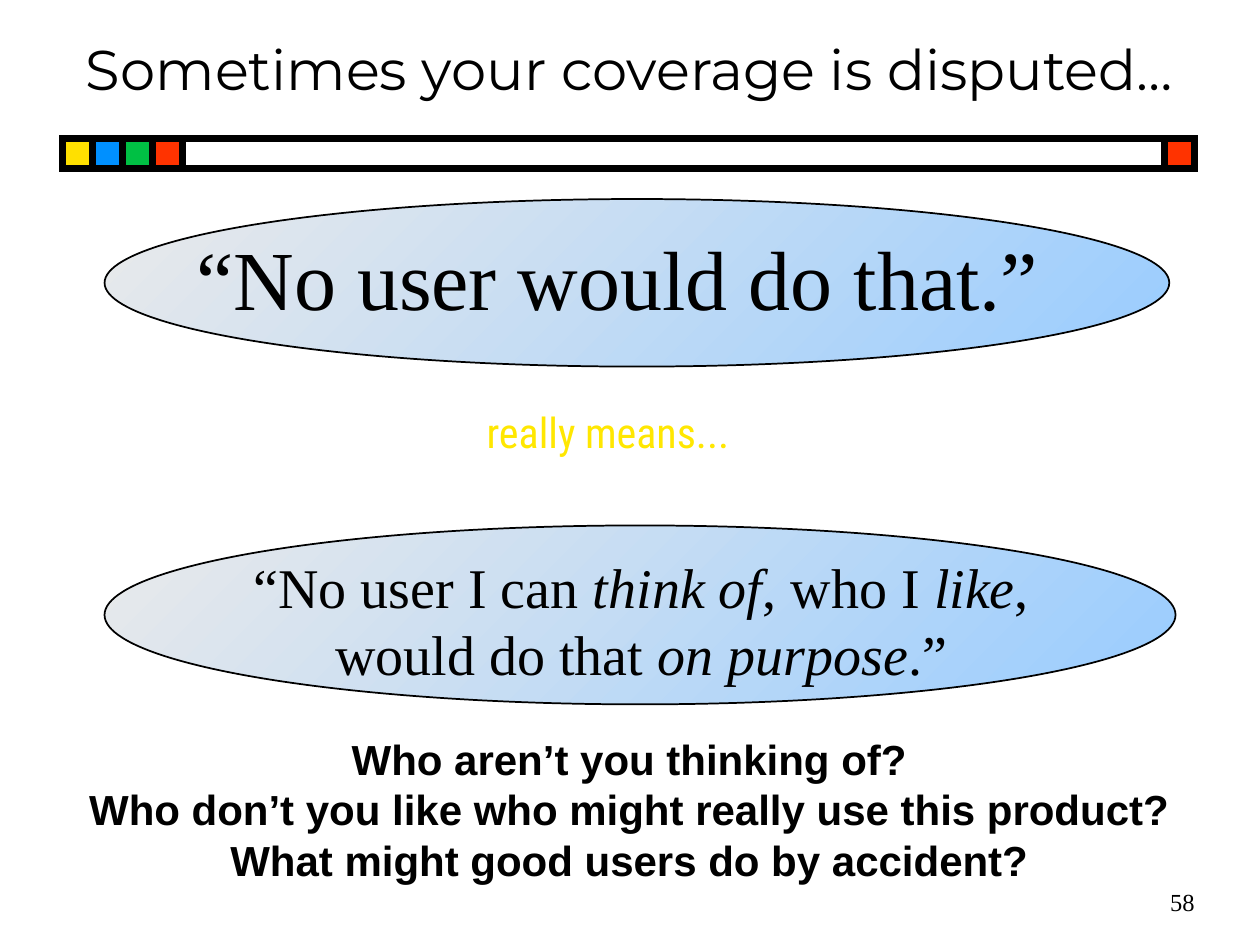
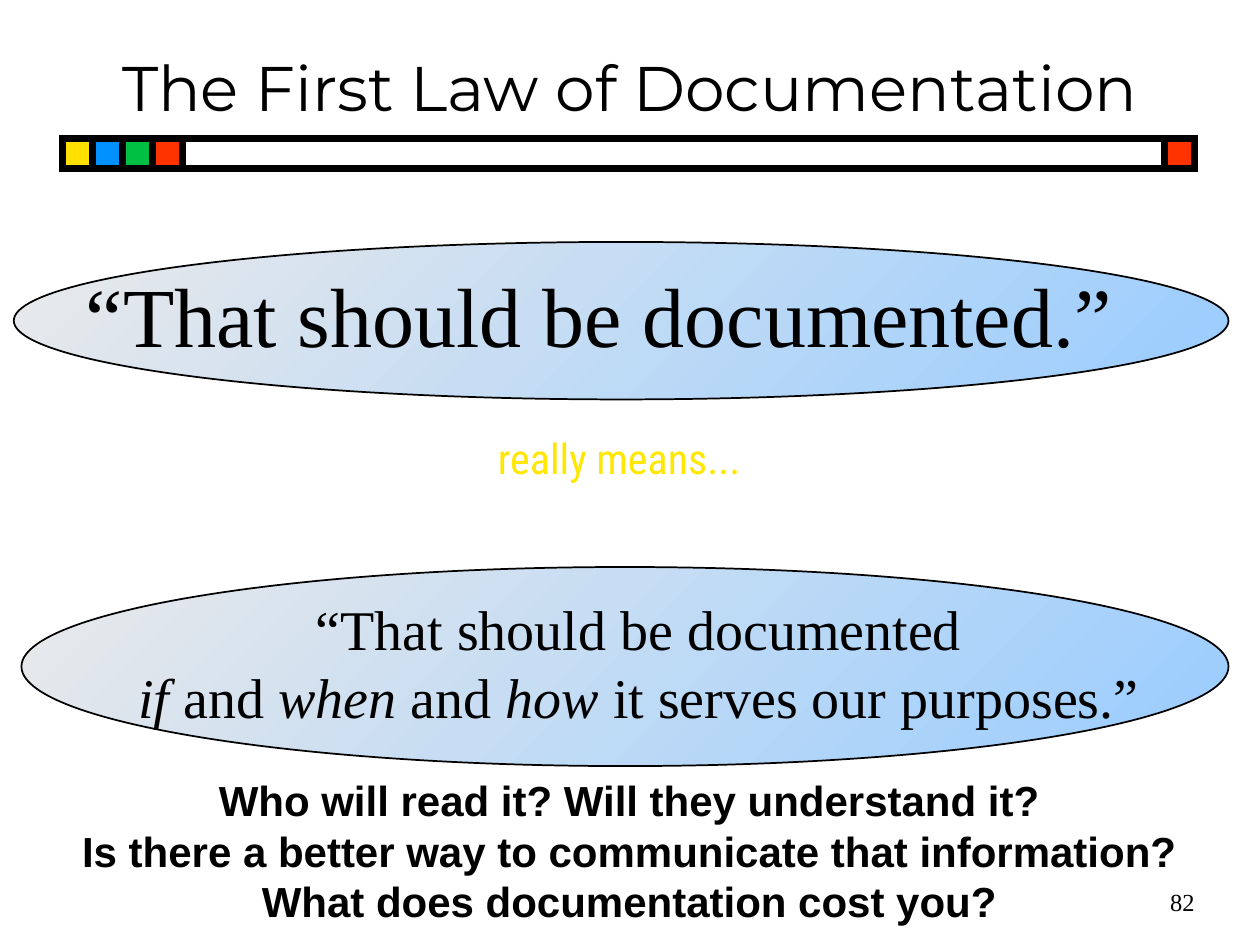
from lxml import etree
from pptx import Presentation
from pptx.dml.color import RGBColor
from pptx.enum.shapes import MSO_SHAPE
from pptx.enum.text import MSO_ANCHOR, PP_ALIGN
from pptx.oxml.ns import qn
from pptx.util import Inches, Pt

BLACK = RGBColor(0x00, 0x00, 0x00)
RED = RGBColor(0xFF, 0x33, 0x00)
BAND_COLOURS = [RGBColor(0xFF, 0xE0, 0x00), RGBColor(0x00, 0x90, 0xFF),
                RGBColor(0x00, 0xC0, 0x44), RED]
LINK_YELLOW = RGBColor(0xFF, 0xE7, 0x01)
OVAL_BLUE = RGBColor(0x99, 0xCC, 0xFF)
OVAL_GREY = RGBColor(0xEA, 0xEA, 0xEA)

TITLE_FONT = "Montserrat"
QUOTE_FONT = "Times New Roman"
LINK_FONT = "Roboto Condensed"
QUESTION_FONT = "Arial"

LINK_TEXT = "really means..."
BAND_LEFT, BAND_TOP, BAND_WIDTH = 0.5, 1.1, 8.98
SQUARE, SQUARE_STEP = 0.24, 0.71 / 3
NUMBER_BOX = (7.5, 6.91, 2.08, 0.5)

# Boxes are (left, top, width, height) in inches; *asterisks* mark italics.
SLIDES = [
    {
        "title": "Sometimes your coverage is disputed…",
        "title_size": 32,
        "title_box": (0, 0, 10, 1.08),
        "claim": ["“No user would do that.”"],
        "claim_oval": (0.83, 1.58, 8.45, 1.33),
        "claim_box": (0.9, 1.75, 8, 0.9),
        "link_box": (2.83, 2.83, 3.99, 1.19),
        "meaning": ["“No user I can *think of*, who I *like*,",
                    "would do that *on purpose*.”"],
        "meaning_oval": (0.83, 4.17, 8.5, 1.42),
        "meaning_box": (1.09, 4.33, 8, 1.17),
        "questions": ["Who aren’t you thinking of?",
                      "Who don’t you like who might really use this product?",
                      "What might good users do by accident?"],
        "questions_box": (0.33, 5.77, 9.33, 1.3),
        "number": "58",
    },
    {
        "title": "The First Law of Documentation",
        "title_size": 36,
        "title_box": (0, 0.08, 10, 1.21),
        "claim": ["“That should be documented.”"],
        "claim_oval": (0.11, 1.92, 9.64, 1.25),
        "claim_box": (0, 2.04, 9.51, 0.9),
        "link_box": (3, 3.08, 3.83, 1.11),
        "meaning": ["“That should be documented",
                    "*if* and *when* and *how* it serves our purposes.”"],
        "meaning_oval": (0.17, 4.5, 9.58, 1.58),
        "meaning_box": (0.57, 4.67, 9, 1.17),
        "questions": ["Who will read it? Will they understand it?",
                      "Is there a better way to communicate that information?",
                      "What does documentation cost you?"],
        "questions_box": (0.33, 6.1, 9.33, 1.3),
        "number": "82",
    },
]


def add_outlined(slide, kind, box, line_width):
    """Add a shape with a black outline and sharp corners."""
    shape = slide.shapes.add_shape(kind, *map(Inches, box))
    shape.shadow.inherit = False
    shape.line.color.rgb = BLACK
    shape.line.width = Pt(line_width)
    outline = shape.element.spPr.find(qn("a:ln"))
    etree.SubElement(outline, qn("a:miter"), lim="800000")
    return shape


def add_band(slide):
    """Draw the long frame with its coloured squares at both ends."""
    frame = add_outlined(slide, MSO_SHAPE.RECTANGLE,
                         (BAND_LEFT, BAND_TOP, BAND_WIDTH, SQUARE), 4)
    frame.fill.background()
    squares = [(BAND_LEFT + i * SQUARE_STEP, colour)
               for i, colour in enumerate(BAND_COLOURS)]
    squares.append((BAND_LEFT + BAND_WIDTH - SQUARE, RED))
    for left, colour in squares:
        square = add_outlined(slide, MSO_SHAPE.RECTANGLE,
                              (left, BAND_TOP, SQUARE, SQUARE), 4)
        square.fill.solid()
        square.fill.fore_color.rgb = colour


def add_oval(slide, box):
    oval = add_outlined(slide, MSO_SHAPE.OVAL, box, 1)
    oval.fill.gradient()
    oval.fill.gradient_angle = 135
    for stop, colour in zip(oval.fill.gradient_stops, (OVAL_BLUE, OVAL_GREY)):
        stop.color.rgb = colour


def add_text(slide, box, lines, font, size, colour=BLACK, bold=False,
             align=PP_ALIGN.CENTER):
    frame = slide.shapes.add_textbox(*map(Inches, box)).text_frame
    frame.word_wrap = True
    frame.vertical_anchor = MSO_ANCHOR.MIDDLE
    paragraph = frame.paragraphs[0]
    paragraph.alignment = align
    paragraph.font.name = font
    paragraph.font.size = Pt(size)
    paragraph.font.bold = bold
    paragraph.font.color.rgb = colour
    for line_index, line in enumerate(lines):
        if line_index:
            paragraph.add_line_break()
        for part_index, part in enumerate(line.split("*")):
            if part:
                run = paragraph.add_run()
                run.text = part
                if part_index % 2:
                    run.font.italic = True


def build_slide(deck, content):
    slide = deck.slides.add_slide(deck.slide_layouts[6])
    add_band(slide)
    add_text(slide, content["title_box"], [content["title"]],
             TITLE_FONT, content["title_size"])
    for quote, size in (("claim", 48), ("meaning", 32)):
        add_oval(slide, content[quote + "_oval"])
        add_text(slide, content[quote + "_box"], content[quote],
                 QUOTE_FONT, size)
    add_text(slide, content["questions_box"], content["questions"],
             QUESTION_FONT, 24, bold=True)
    add_text(slide, content["link_box"], [LINK_TEXT], LINK_FONT, 24, LINK_YELLOW)
    add_text(slide, NUMBER_BOX, [content["number"]], QUOTE_FONT, 14,
             align=PP_ALIGN.RIGHT)


def main():
    deck = Presentation()
    deck.slide_width, deck.slide_height = Inches(10), Inches(7.5)
    for content in SLIDES:
        build_slide(deck, content)
    deck.save("out.pptx")


if __name__ == "__main__":
    main()
